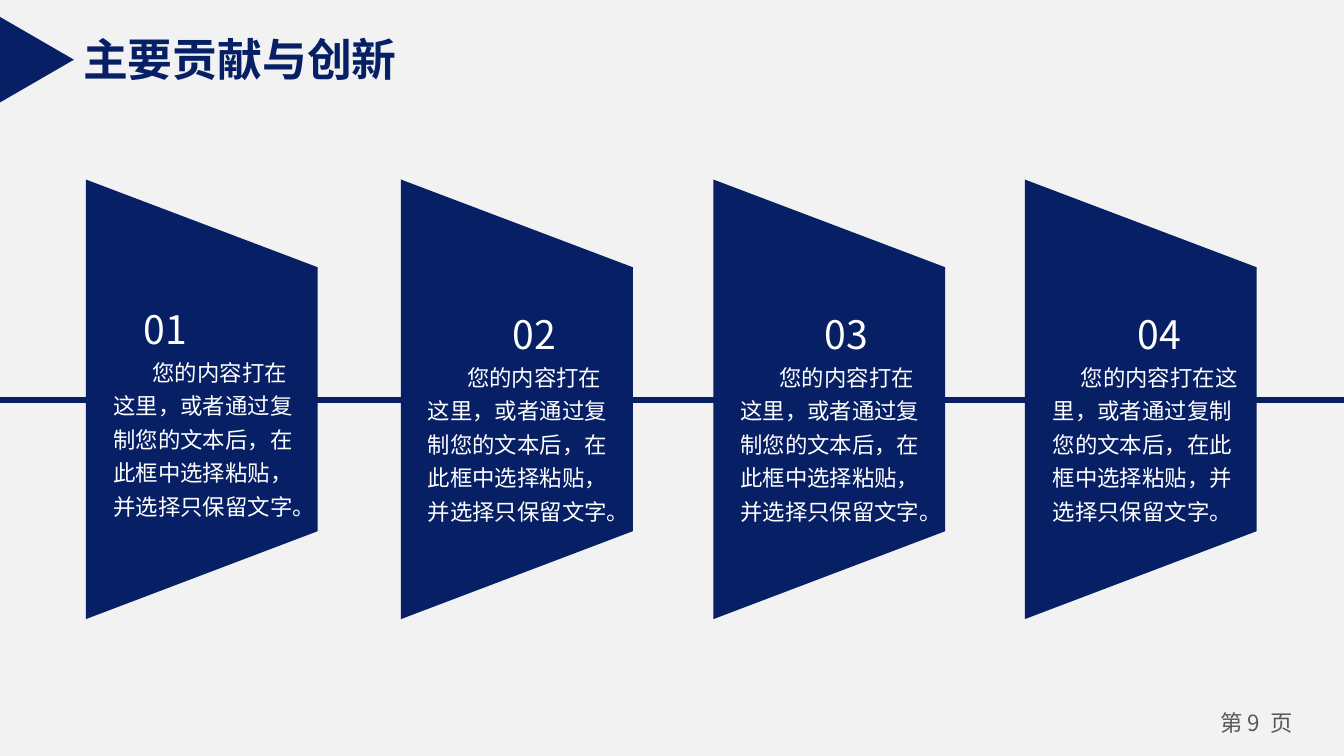
from lxml.etree import SubElement
from pptx import Presentation
from pptx.dml.color import RGBColor as Rgb
from pptx.enum.lang import MSO_LANGUAGE_ID as Lang
from pptx.enum.shapes import MSO_CONNECTOR as Link, MSO_SHAPE as Kind
from pptx.enum.text import MSO_AUTO_SIZE as Fit, PP_ALIGN as Align
from pptx.oxml.ns import qn
from pptx.util import Pt

COLORS = {"back": "F2F2F2", "navy": "071F65", "white": "FFFFFF", "gray": "595959"}
SANS = "Noto Sans CJK SC"
BODY = "您的内容打在这里，或者通过复制您的文本后，在此框中选择粘贴，并选择只保留文字。"
CARDS = [
    {"left": 46, "box": (51.84, 159.84, 113.76, 123.84), "head": {"alignment": Align.LEFT}},
    {"left": 214.8, "box": (220.32, 156.24, 113.76, 129.6), "head": {"line_spacing": 1.25}},
    {"left": 382.2, "box": (386.64, 156.24, 115.92, 129.6), "head": {"line_spacing": 1.25}},
    {"left": 549, "box": (552.96, 156.24, 118.08, 129.6), "head": {"line_spacing": 1.25}},
]


def tint(name):
    """Return a palette colour."""
    return Rgb.from_string(COLORS[name])


def apply(item, values):
    """Set attributes from a dict of format values."""
    for key, value in values.items():
        setattr(item, key, value)


def paint(shape, name):
    """Give a shape a flat fill without line or shadow."""
    shape.shadow.inherit = False
    shape.fill.solid()
    shape.fill.fore_color.rgb = tint(name)
    shape.line.fill.background()


def write(para, text, size, color, face=SANS, bold=False, indent=0, **form):
    """Fill a paragraph with one styled run."""
    apply(para, form)
    if indent:
        para._p.get_or_add_pPr().set("indent", str(Pt(indent)))
    run = para.add_run()
    run.text = text
    apply(run.font, {"size": Pt(size), "bold": bold, "name": face,
                     "language_id": Lang.SIMPLIFIED_CHINESE})
    run.font.color.rgb = tint(color)
    SubElement(run._r.get_or_add_rPr(), qn("a:ea")).set("typeface", face)


def add_text(shapes, box, wrap=True, fit=Fit.SHAPE_TO_FIT_TEXT, pad=(7.2, 3.6)):
    """Add a text box and return its frame."""
    frame = shapes.add_textbox(*map(Pt, box)).text_frame
    side, edge = map(Pt, pad)
    apply(frame, {"word_wrap": wrap, "auto_size": fit, "margin_left": side,
                  "margin_right": side, "margin_top": edge, "margin_bottom": edge})
    return frame


def add_line(shapes, y):
    """Draw the thick line across the slide."""
    line = shapes.add_connector(Link.STRAIGHT, 0, Pt(y), Pt(720), Pt(y))
    line.line.color.rgb = tint("navy")
    line.line.width = Pt(3)
    SubElement(line._element.spPr, qn("a:effectLst"))


def add_card(shapes, num, left, box, head):
    """Add a grouped panel with its number and text."""
    parts = shapes.add_group_shape().shapes
    right = left + 124.2
    path = parts.build_freeform(Pt(left), Pt(331.7))
    path.add_line_segments([(Pt(x), Pt(y)) for x, y in
                            ((left, 96.2), (right, 143.2), (right, 284.6))])
    paint(path.convert_to_shape(), "navy")
    frame = add_text(parts, box)
    form = {"alignment": Align.CENTER, "indent": 18}
    write(frame.paragraphs[0], f"{num:02}", 21, "white", **{**form, **head})
    write(frame.add_paragraph(), BODY, 12, "white", line_spacing=1.25, **form)


def main():
    """Build and save the slide."""
    deck = Presentation()
    apply(deck, {"slide_width": Pt(720), "slide_height": Pt(405)})
    slide = deck.slides.add_slide(deck.slide_layouts[6])
    slide.background.fill.solid()
    slide.background.fill.fore_color.rgb = tint("back")
    shapes = slide.shapes
    page = add_text(shapes, (640.8, 377.28, 64.8, 21.6), fit=Fit.NONE, pad=(5, 2.9))
    write(page.paragraphs[0], "第 9  页", 12, "gray", alignment=Align.CENTER)
    add_line(shapes, 214.4)
    for num, card in enumerate(CARDS, 1):
        add_card(shapes, num, **card)
    title = add_text(shapes, (37.44, 13.68, 184.32, 36), wrap=False)
    write(title.paragraphs[0], "主要贡献与创新", 24, "navy", face="Arial", bold=True)
    mark = shapes.add_shape(Kind.ISOSCELES_TRIANGLE, *map(Pt, (-3.1, 12.2, 45.8, 39.6)))
    mark.rotation = 90
    paint(mark, "navy")
    deck.save("out.pptx")


if __name__ == "__main__":
    main()
